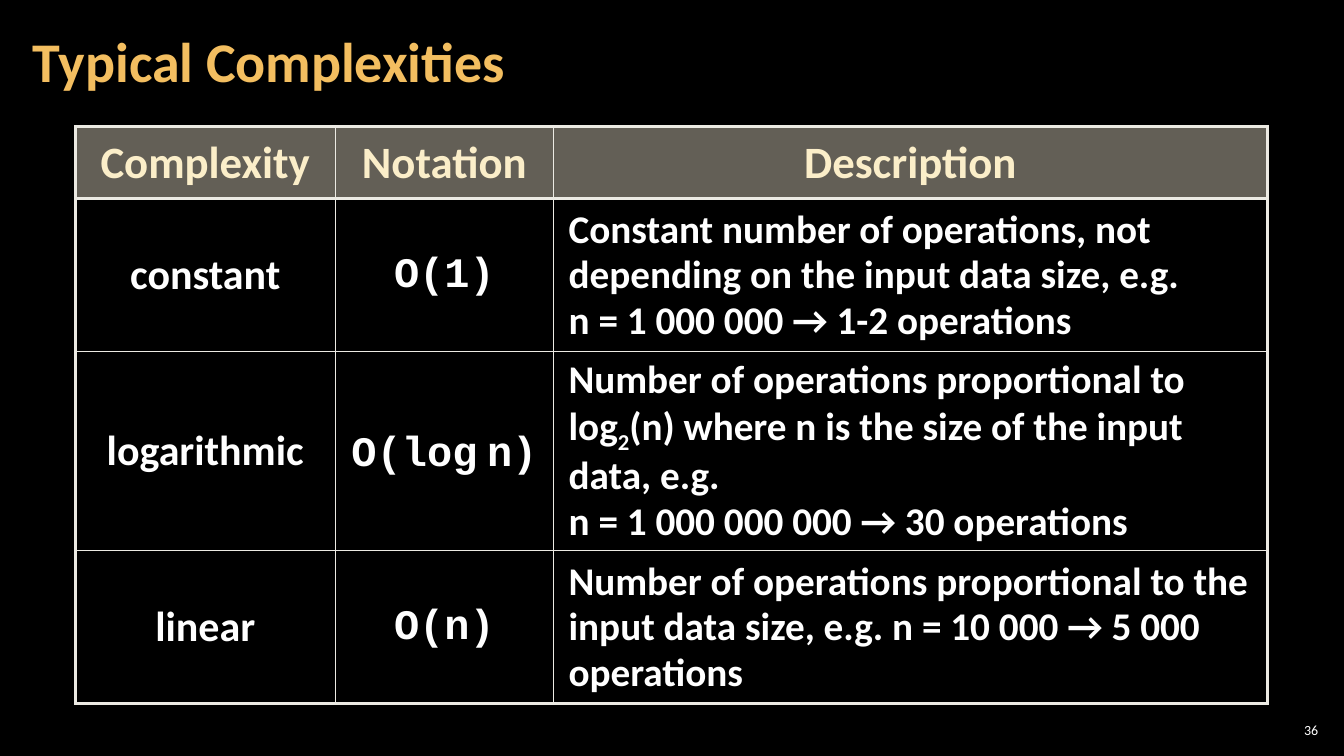
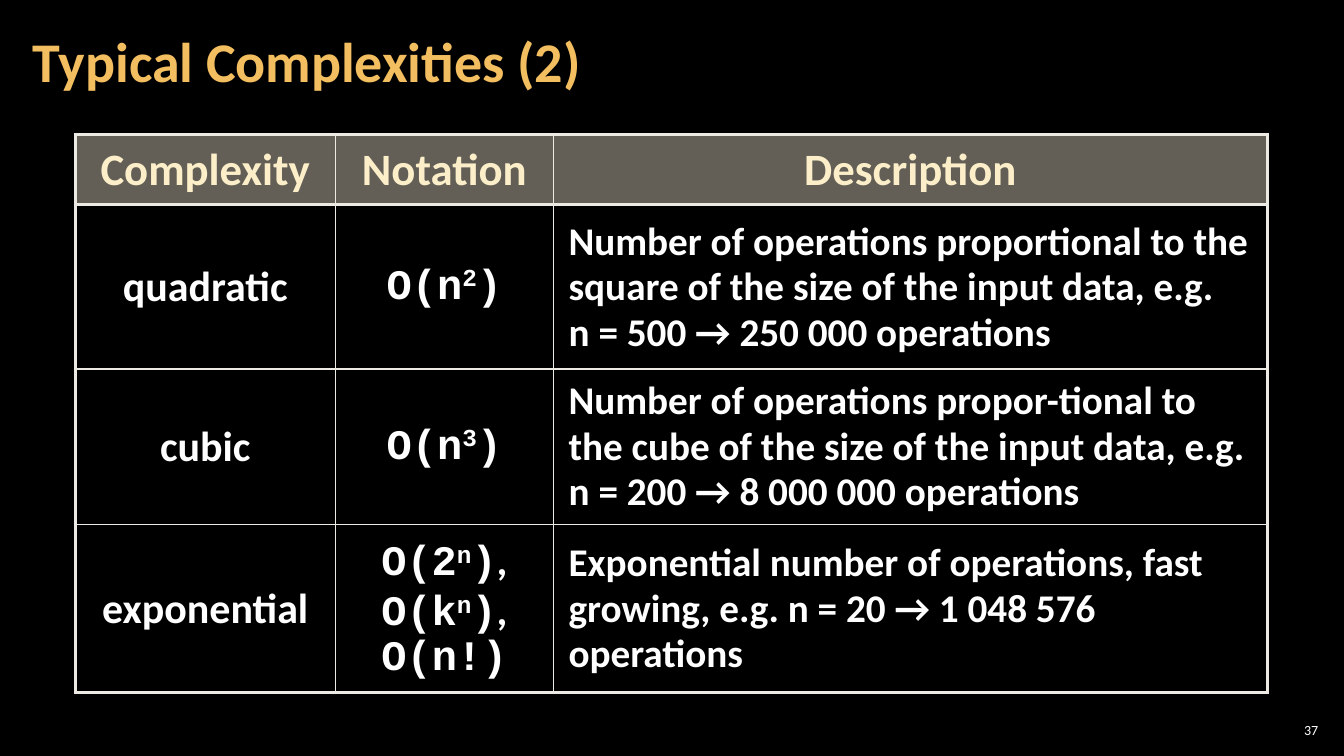
from dataclasses import dataclass
from typing import NamedTuple

from lxml import etree
from pptx import Presentation
from pptx import util as u
from pptx.dml.color import RGBColor
from pptx.enum import text
from pptx.oxml import ns

LEFT, CENTER, RIGHT = text.PP_ALIGN.LEFT, text.PP_ALIGN.CENTER, text.PP_ALIGN.RIGHT


@dataclass(frozen=True)
class Theme:
    background: str = "000000"
    title: str = "F3BE60"
    body: str = "FFFFFF"
    heading: str = "FBEEC9"
    heading_fill: str = "C7BFAC"
    heading_opacity: int = 50
    rule: str = "ECEAE3"
    sans: str = "Calibri"
    mono: str = "Courier New"
    title_size: int = 40
    heading_size: int = 32
    label_size: int = 30
    description_size: int = 28
    number_size: int = 10
    thick: float = 2.25
    thin: float = 1


class Piece(NamedTuple):
    """Part of a paragraph with a shifted baseline or a font of its own."""
    text: str
    baseline: int = 0
    font: str = ""


THEME = Theme()
LINE_BREAK = Piece("\n")
COMMA = Piece(",", font=THEME.sans)
NARROW_SPACE = Piece(" ", font=THEME.sans)


def raised(characters):
    return Piece(characters, baseline=30)


def lowered(characters):
    return Piece(characters, baseline=-25)


class TableDeck:
    HEADINGS = ("Complexity", "Notation", "Description")
    COLUMN_WIDTHS = (6.55, 5.5, 17.99)
    TABLE_LEFT = 1.9

    def __init__(self, theme):
        self.theme = theme
        self.deck = Presentation()
        self.deck.slide_width, self.deck.slide_height = u.Cm(33.87), u.Cm(19.05)
        self.page = None

    def add_page(self, title, number):
        theme = self.theme
        self.page = self.deck.slides.add_slide(self.deck.slide_layouts[6])
        fill = self.page.background.fill
        fill.solid()
        fill.fore_color.rgb = RGBColor.from_string(theme.background)
        self.add_text((0.53, 0.1, 26.6, 3.07), (0.3, 0.1), title, LEFT, 0.9,
                      theme.sans, theme.title_size, theme.title, True)
        self.add_text((32.13, 18.14, 1.19, 0.53), (0.1, 0.1), str(number), RIGHT, 1,
                      theme.sans, theme.number_size, theme.body, False)

    def add_text(self, place, margins, content, *style):
        box = self.page.shapes.add_textbox(*map(u.Cm, place))
        frame = box.text_frame
        frame.word_wrap = True
        frame.vertical_anchor = text.MSO_ANCHOR.MIDDLE
        self.set_margins(frame, margins)
        self.set_paragraphs(frame, [content], *style)

    def add_table(self, top, heights, rows):
        grid = [self.HEADINGS, *rows]
        frame = self.page.shapes.add_table(
            len(grid), len(self.HEADINGS), u.Cm(self.TABLE_LEFT), u.Cm(top),
            u.Cm(sum(self.COLUMN_WIDTHS)), u.Cm(sum(heights)))
        table = frame.table
        table.first_row = table.horz_banding = False
        for column, width in zip(table.columns, self.COLUMN_WIDTHS):
            column.width = u.Cm(width)
        for row, height in zip(table.rows, heights):
            row.height = u.Cm(height)
        for r, contents in enumerate(grid):
            for c, content in enumerate(contents):
                cell = table.cell(r, c)
                cell.vertical_anchor = text.MSO_ANCHOR.MIDDLE
                self.set_margins(cell, (0.38, 0.13))
                self.rule_cell(cell, r, c, len(grid) - 1)
                self.fill_cell(cell, is_heading=r == 0)
                paragraphs = content if isinstance(content, list) else [content]
                self.set_paragraphs(cell.text_frame, paragraphs, *self.cell_style(r, c))

    def cell_style(self, r, c):
        theme = self.theme
        if r == 0:
            return CENTER, 0.95, theme.sans, theme.heading_size, theme.heading, True
        align, font, size = (
            (CENTER, theme.sans, theme.label_size),
            (CENTER, theme.mono, theme.label_size),
            (LEFT, theme.sans, theme.description_size),
        )[c]
        return align, 0.95, font, size, theme.body, True

    def rule_cell(self, cell, r, c, last_row):
        """Draw thick rules round the table and under its headings, thin ones elsewhere."""
        thick_sides = {
            "lnL": c == 0,
            "lnR": c == len(self.HEADINGS) - 1,
            "lnT": r <= 1,
            "lnB": r in (0, last_row),
        }
        properties = cell._tc.get_or_add_tcPr()
        for side, is_thick in thick_sides.items():
            width = u.Pt(self.theme.thick if is_thick else self.theme.thin)
            line = etree.SubElement(properties, ns.qn(f"a:{side}"), w=str(int(width)))
            fill = etree.SubElement(line, ns.qn("a:solidFill"))
            etree.SubElement(fill, ns.qn("a:srgbClr"), val=self.theme.rule)

    def fill_cell(self, cell, is_heading):
        if not is_heading:
            cell.fill.background()
            return
        cell.fill.solid()
        cell.fill.fore_color.rgb = RGBColor.from_string(self.theme.heading_fill)
        color = cell._tc.tcPr.find(ns.qn("a:solidFill"))[0]
        etree.SubElement(color, ns.qn("a:alpha"), val=str(self.theme.heading_opacity * 1000))

    @staticmethod
    def set_margins(holder, margins):
        across, down = map(u.Cm, margins)
        holder.margin_left = holder.margin_right = across
        holder.margin_top = holder.margin_bottom = down

    @staticmethod
    def set_paragraphs(frame, paragraphs, align, spacing, font, size, color, bold):
        """Fill a frame with paragraphs, each a string or a tuple of strings and pieces."""
        for index, content in enumerate(paragraphs):
            para = frame.add_paragraph() if index else frame.paragraphs[0]
            para.alignment, para.line_spacing = align, spacing
            for part in (content,) if isinstance(content, str) else content:
                piece = Piece(part) if isinstance(part, str) else part
                if piece == LINE_BREAK:
                    para.add_line_break()
                    continue
                span = para.add_run()
                span.text = piece.text
                span.font.name = piece.font or font
                span.font.size = u.Pt(size)
                span.font.bold = bold
                span.font.color.rgb = RGBColor.from_string(color)
                if piece.baseline:
                    span._r.get_or_add_rPr().set("baseline", str(piece.baseline * 1000))


COMMON_ROWS = [
    ("constant", "O(1)", [
        "Constant number of operations, not depending on the input data size, e.g.",
        "n = 1 000 000 → 1-2 operations"]),
    ("logarithmic", [("O(log", NARROW_SPACE, "n)")], [
        ("Number of operations proportional to log", lowered("2"),
         "(n) where n is the size of the input data, e.g.", LINE_BREAK,
         "n = 1 000 000 000 → 30 operations")]),
    ("linear", "O(n)",
     "Number of operations proportional to the input data size, "
     "e.g. n = 10 000 → 5 000 operations"),
]

COSTLY_ROWS = [
    ("quadratic", [("O(n", raised("2"), ")")], [
        ("Number of operations proportional to the square of the size of the input data, e.g.",
         LINE_BREAK, "n = 500 → 250 000 operations")]),
    ("cubic", [("O(n", raised("3"), ")")],
     "Number of operations propor-tional to the cube of the size of the input data, "
     "e.g. n = 200 → 8 000 000 operations"),
    ("exponential", [
        ("O(2", raised("n"), ")", COMMA),
        ("O(k", raised("n"), ")", COMMA),
        "O(n!)"],
     "Exponential number of operations, fast growing, e.g. n = 20 → 1 048 576 operations"),
]


def main():
    slides = TableDeck(THEME)
    slides.add_page("Typical Complexities", 36)
    slides.add_table(3.18, (1.83, 3.84, 5.03, 3.84), COMMON_ROWS)
    slides.add_page("Typical Complexities (2)", 37)
    slides.add_table(3.38, (1.78, 4.14, 3.91, 4.24), COSTLY_ROWS)
    slides.deck.save("out.pptx")


if __name__ == "__main__":
    main()
